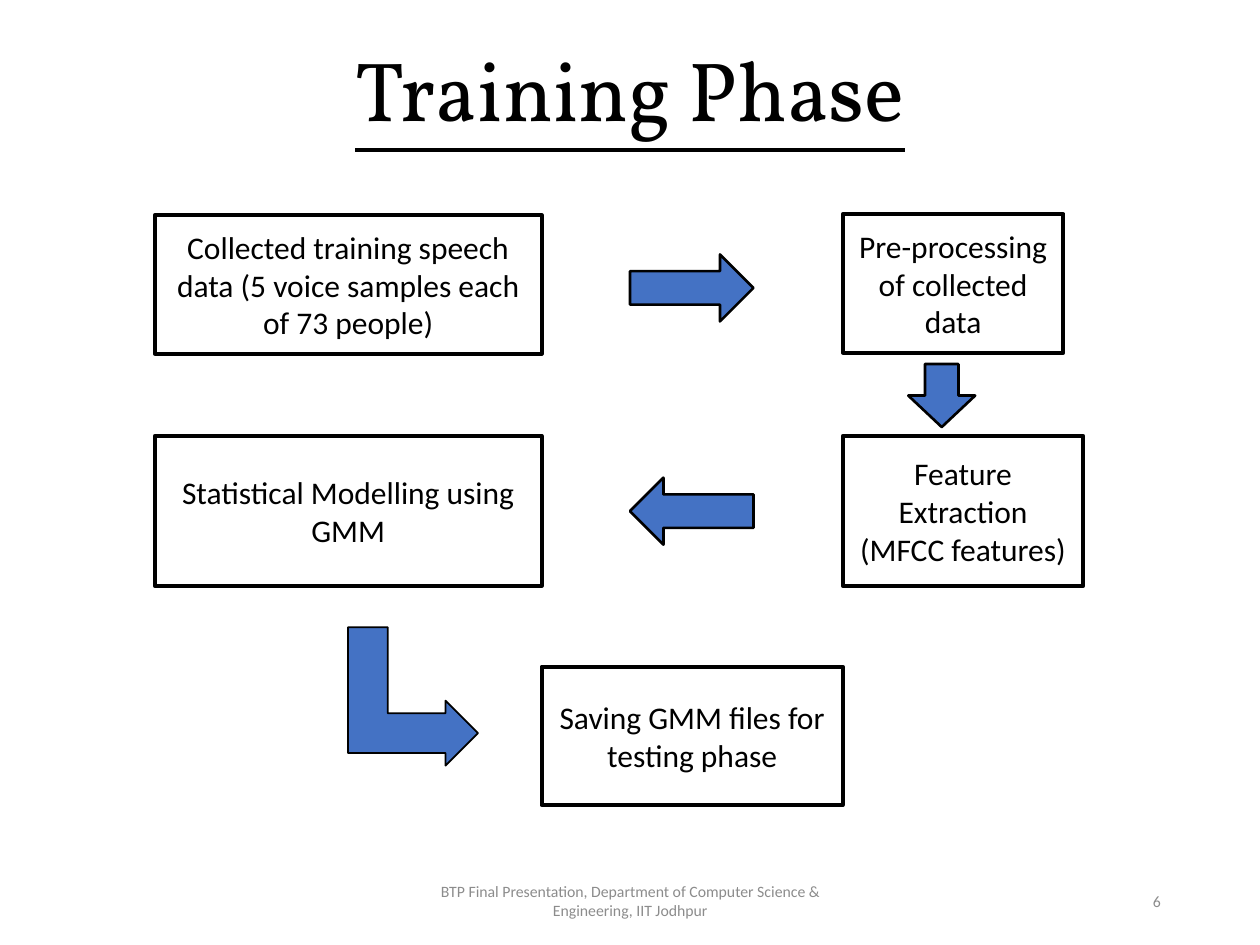
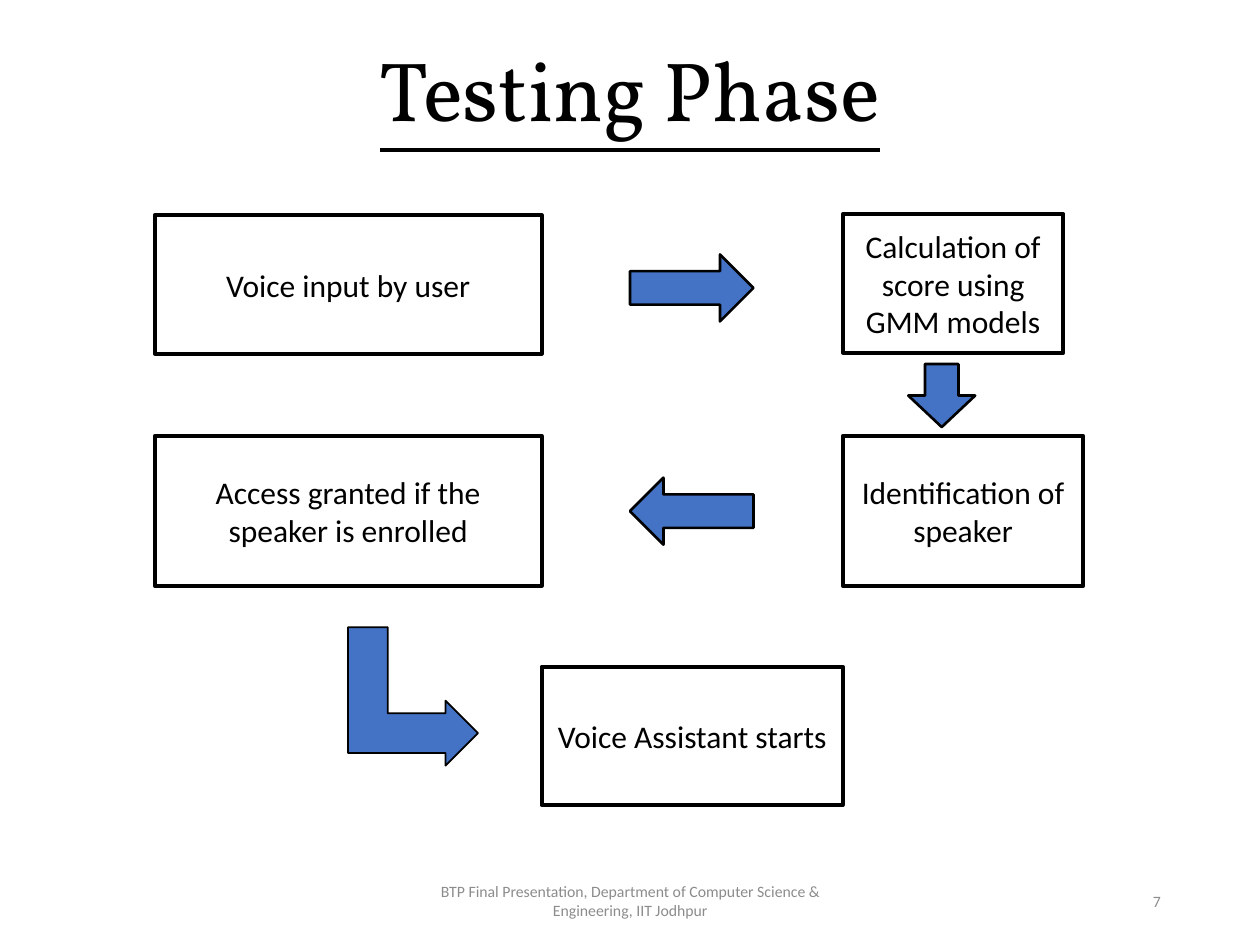
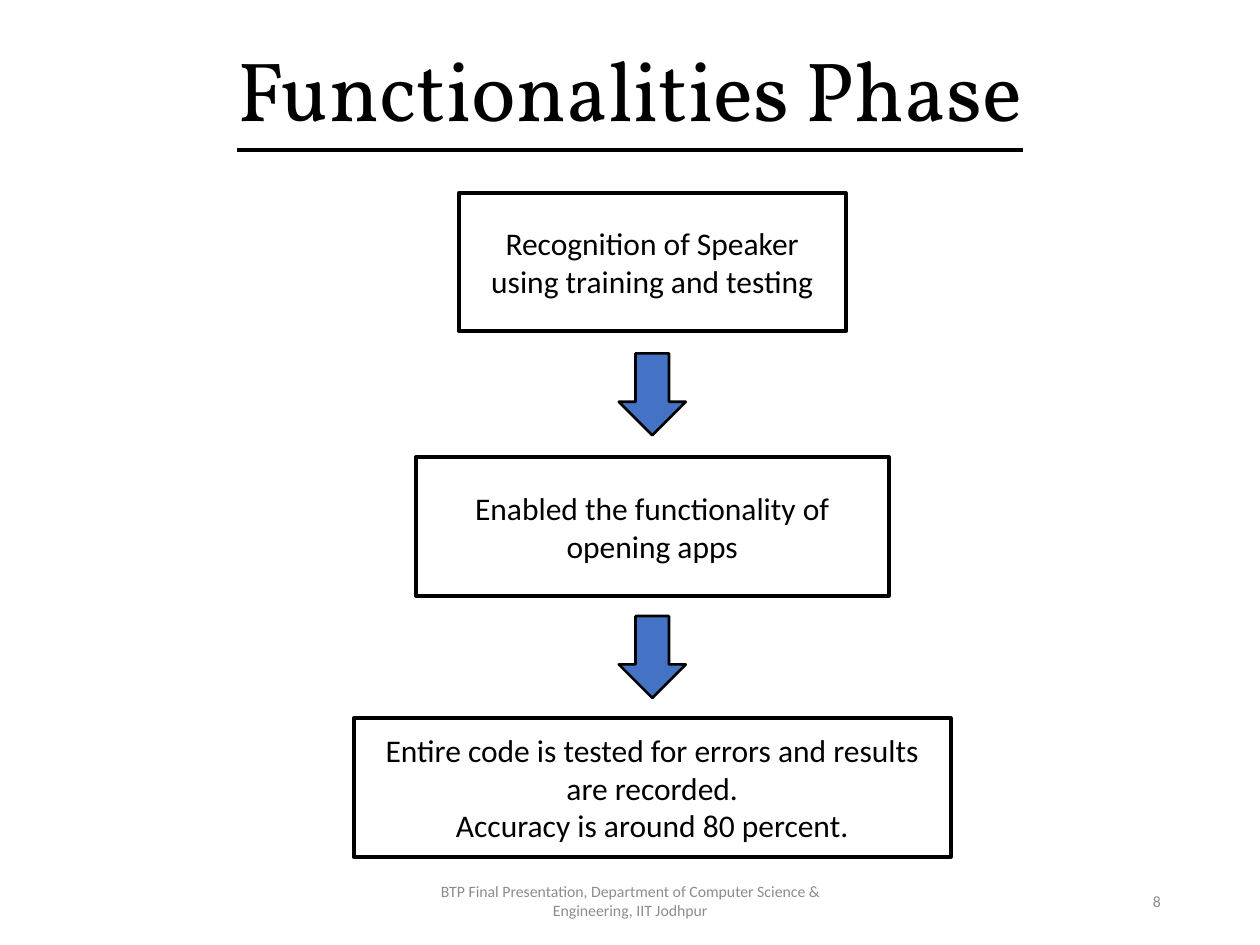
from dataclasses import dataclass

from pptx import Presentation
from pptx.dml.color import RGBColor
from pptx.enum.shapes import MSO_SHAPE
from pptx.enum.text import MSO_ANCHOR, PP_ALIGN
from pptx.util import Cm, Pt

RECTANGLE = MSO_SHAPE.RECTANGLE
RIGHT_ARROW = MSO_SHAPE.RIGHT_ARROW
LEFT_ARROW = MSO_SHAPE.LEFT_ARROW
DOWN_ARROW = MSO_SHAPE.DOWN_ARROW
BENT_ARROW = MSO_SHAPE.BENT_UP_ARROW
MIDDLE = MSO_ANCHOR.MIDDLE
CENTER = PP_ALIGN.CENTER
RIGHT = PP_ALIGN.RIGHT


@dataclass(frozen=True)
class Theme:
    ink: RGBColor = RGBColor(0x00, 0x00, 0x00)
    paper: RGBColor = RGBColor(0xFF, 0xFF, 0xFF)
    accent: RGBColor = RGBColor(0x44, 0x72, 0xC4)
    muted: RGBColor = RGBColor(0x8C, 0x8C, 0x8C)
    title_font: str = "Vollkorn"
    body_font: str = "Calibri"
    title_size: float = 48
    body_size: float = 18
    footer_size: float = 9
    box_line: float = 2.25
    arrow_line: float = 1.5
    bent_line: float = 1


THEME = Theme()

FOOTER = "BTP Final Presentation, Department of Computer Science & Engineering, IIT Jodhpur"
FIRST_PAGE = 6

FLOW_SLIDES = [
    ("Training Phase", [
        "Collected training speech data (5 voice samples each of 73 people)",
        "Pre-processing of collected data",
        "Feature Extraction (MFCC features)",
        "Statistical Modelling using GMM",
        "Saving GMM files for testing phase",
    ]),
    ("Testing Phase", [
        "Voice input by user",
        "Calculation of score using GMM models",
        "Identification of speaker",
        "Access granted if the speaker is enrolled",
        "Voice Assistant starts",
    ]),
]

STACK_TITLE = "Functionalities Phase"
STACK_STEPS = [
    (3.89, 7.8, "Recognition of Speaker using training and testing"),
    (9.22, 9.53, "Enabled the functionality of opening apps"),
    (14.48, 12.04, "Entire code is tested for errors and results are recorded.\n"
                   "Accuracy is around 80 percent."),
]

TITLE_AREA = (1.75, 0.51, 21.9, 2.77)
FOOTER_AREA = (8.41, 17.65, 8.59, 1.02)
PAGE_AREA = (17.93, 17.65, 5.72, 1.02)

BOX_HEIGHT = 2.79
ROW_TWO_HEIGHT = 3.02
LEFT_X, RIGHT_X, LAST_X = 3.12, 16.99, 10.92
ROW_TWO_Y = 8.79
FLOW_BOXES = [
    (LEFT_X, 4.34, 7.8, BOX_HEIGHT),
    (RIGHT_X, 4.32, 4.45, BOX_HEIGHT),
    (RIGHT_X, ROW_TWO_Y, 4.85, ROW_TWO_HEIGHT),
    (LEFT_X, ROW_TWO_Y, 7.8, ROW_TWO_HEIGHT),
    (LAST_X, 13.44, 6.07, BOX_HEIGHT),
]
ARROW_BREADTH = 1.35
FLOW_ARROWS = [
    (RIGHT_ARROW, (12.7, 5.13, 2.49, ARROW_BREADTH)),
    (DOWN_ARROW, (18.31, 7.34, ARROW_BREADTH, 1.27)),
    (LEFT_ARROW, (12.7, 9.63, 2.49, ARROW_BREADTH)),
]
BENT_AREA = (6.93, 12.73, 2.79, 2.62)
BENT_ADJUSTMENTS = (0.306, 0.25, 0.25)
STACK_CENTER = 13.15
STACK_ARROW_LENGTH = 1.65


def write(shape, text, size, color, font=THEME.body_font, alignment=CENTER):
    frame = shape.text_frame
    frame.word_wrap = True
    frame.vertical_anchor = MIDDLE
    frame.text = text
    for paragraph in frame.paragraphs:
        paragraph.alignment = alignment
        for run in paragraph.runs:
            run.font.name = font
            run.font.size = Pt(size)
            run.font.color.rgb = color
    return frame


def add_text(slide, area, *style):
    return write(slide.shapes.add_textbox(*map(Cm, area)), *style)


def add_outlined(slide, kind, area, fill, line_width):
    shape = slide.shapes.add_shape(kind, *map(Cm, area))
    shape.shadow.inherit = False
    shape.fill.solid()
    shape.fill.fore_color.rgb = fill
    shape.line.color.rgb = THEME.ink
    shape.line.width = Pt(line_width)
    return shape


def add_box(slide, area, text):
    box = add_outlined(slide, RECTANGLE, area, THEME.paper, THEME.box_line)
    write(box, text, THEME.body_size, THEME.ink)


def add_arrow(slide, kind, area, line_width=THEME.arrow_line):
    return add_outlined(slide, kind, area, THEME.accent, line_width)


def start_slide(presentation, title):
    page = FIRST_PAGE + len(presentation.slides)
    slide = presentation.slides.add_slide(presentation.slide_layouts[6])
    frame = add_text(slide, TITLE_AREA, title, THEME.title_size, THEME.ink, THEME.title_font)
    heading = frame.paragraphs[0]
    heading.line_spacing = 0.9
    heading.runs[0].font.underline = True
    add_text(slide, FOOTER_AREA, FOOTER, THEME.footer_size, THEME.muted)
    add_text(slide, PAGE_AREA, str(page), THEME.footer_size, THEME.muted, THEME.body_font, RIGHT)
    return slide


def add_flow_slide(presentation, title, steps):
    slide = start_slide(presentation, title)
    for area, text in zip(FLOW_BOXES, steps):
        add_box(slide, area, text)
    for kind, area in FLOW_ARROWS:
        add_arrow(slide, kind, area)
    bent = add_arrow(slide, BENT_ARROW, BENT_AREA, THEME.bent_line)
    bent.rotation = 90
    for index, value in enumerate(BENT_ADJUSTMENTS):
        bent.adjustments[index] = value


def add_stack_slide(presentation):
    slide = start_slide(presentation, STACK_TITLE)
    for top, width, text in STACK_STEPS:
        add_box(slide, (STACK_CENTER - width / 2, top, width, BOX_HEIGHT), text)
    for upper, lower in zip(STACK_STEPS, STACK_STEPS[1:]):
        gap_middle = (upper[0] + BOX_HEIGHT + lower[0]) / 2
        add_arrow(slide, DOWN_ARROW, (
            STACK_CENTER - ARROW_BREADTH / 2,
            gap_middle - STACK_ARROW_LENGTH / 2,
            ARROW_BREADTH,
            STACK_ARROW_LENGTH,
        ))


def main():
    presentation = Presentation()
    presentation.slide_width = Cm(25.4)
    presentation.slide_height = Cm(19.05)
    for title, steps in FLOW_SLIDES:
        add_flow_slide(presentation, title, steps)
    add_stack_slide(presentation)
    presentation.save("out.pptx")


if __name__ == "__main__":
    main()
